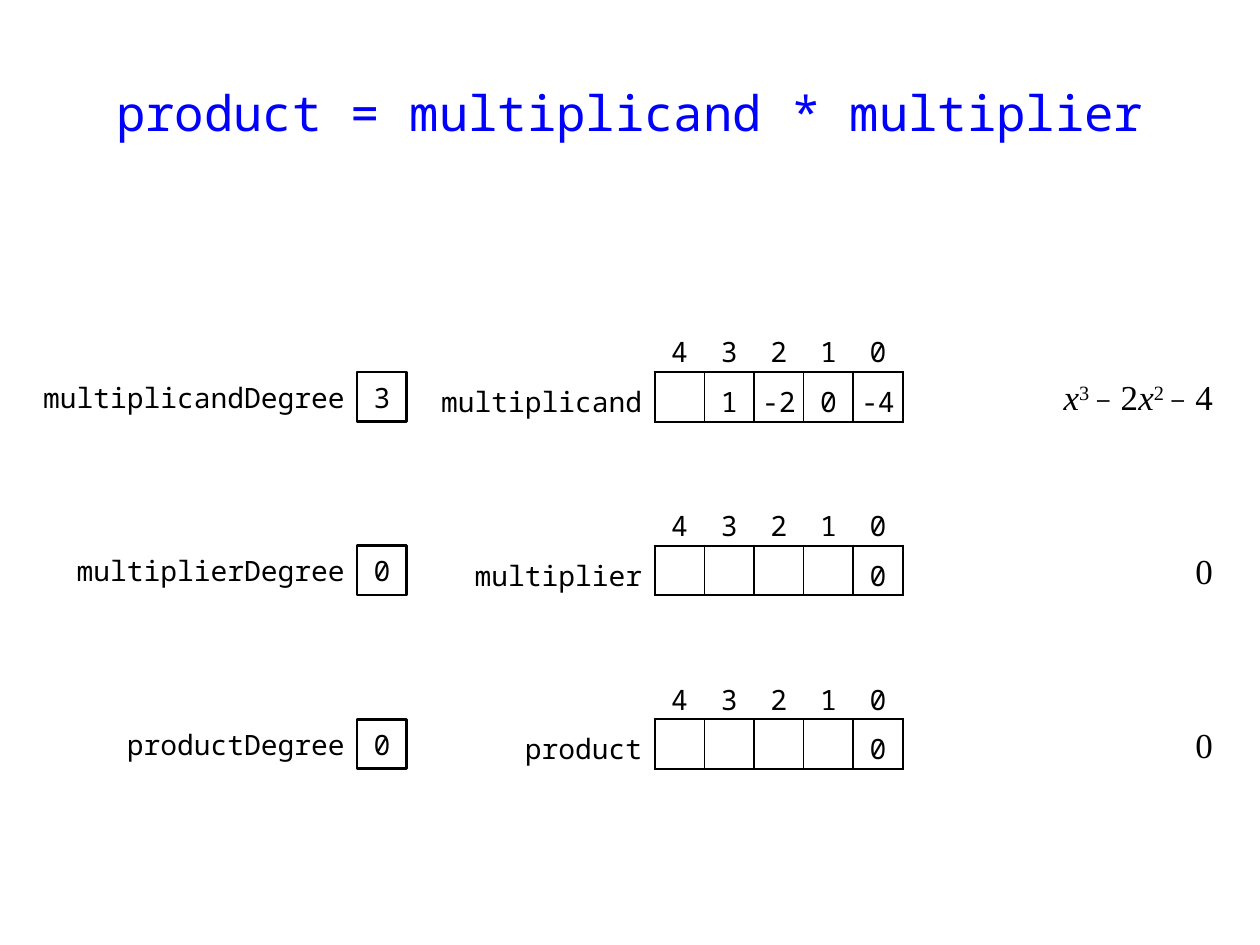
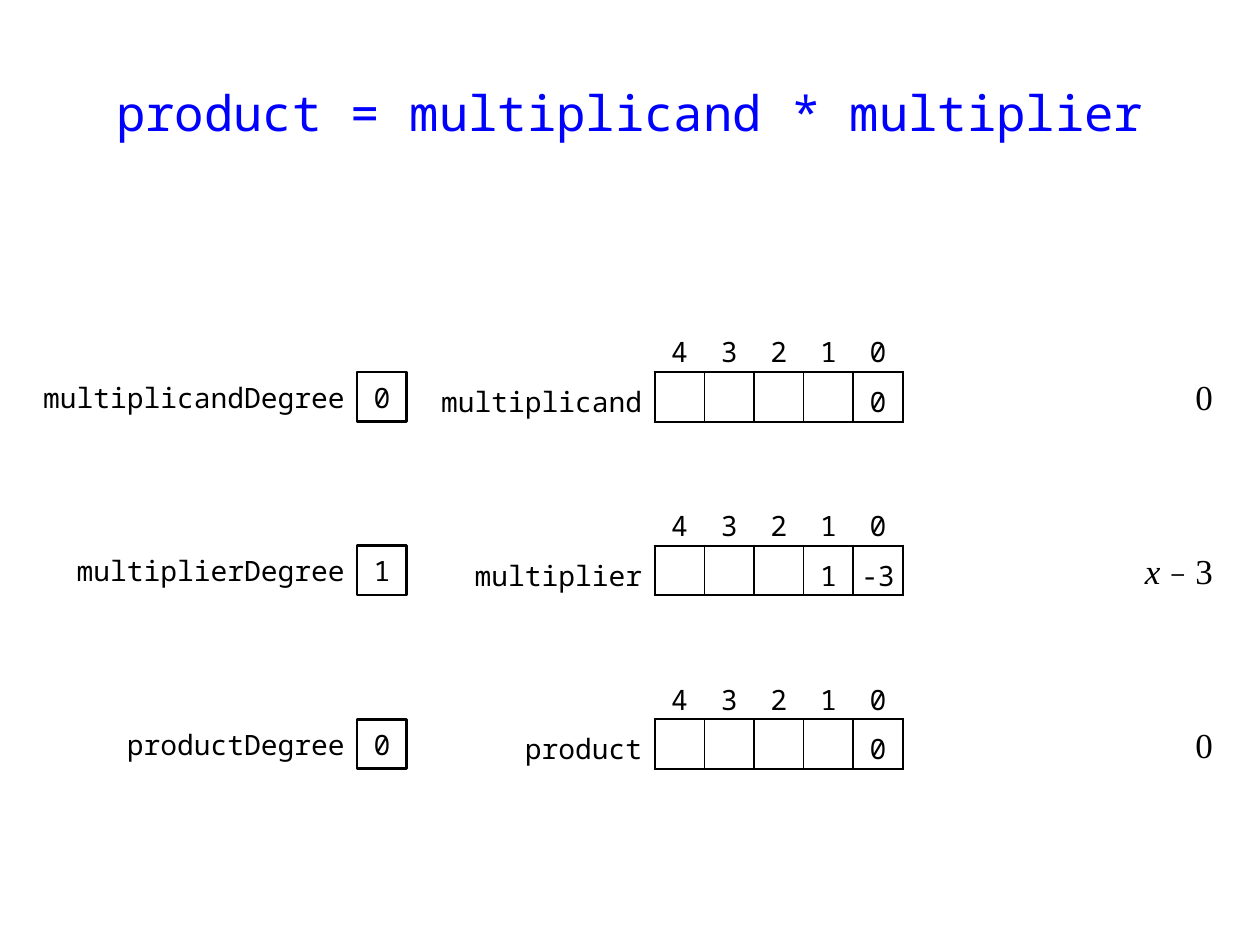
from dataclasses import dataclass
from typing import NamedTuple

from lxml.etree import SubElement
from pptx import Presentation
from pptx.dml.color import RGBColor
from pptx.enum.shapes import MSO_SHAPE
from pptx.enum.text import MSO_ANCHOR, PP_ALIGN
from pptx.oxml.ns import qn
from pptx.slide import Slide
from pptx.table import _Cell
from pptx.text.text import TextFrame
from pptx.util import Cm, Inches, Length, Pt

BLACK = RGBColor(0x00, 0x00, 0x00)
WHITE = RGBColor(0xFF, 0xFF, 0xFF)
BLUE = RGBColor(0x00, 0x00, 0xFF)
MONO, SERIF, SIGN = "Noto Sans Mono", "Times New Roman", "Cambria"
OUTER, INNER = 1.5, 1.0  # border widths in points
NO_STYLE = "{2D5ABB26-0587-4C30-8999-92F81FD0307C}"

# The grid has one-centimetre cells; its columns start a little off the left edge.
GRID_LEFT = 0.2
FIRST_ROW, ROW_STEP = 7.5, 3.5
DEGREE_COL, ARRAY_END_COL, FORMULA_END_COL = 7, 18, 24.5
EXPONENTS = (4, 3, 2, 1, 0)
SIDE_INSET = Inches(0.1)


class Part(NamedTuple):
    """A stretch of a formula in one format."""
    text: str
    italic: bool = False
    raised: bool = False
    font: str = SERIF
    size: float = 20


MINUS = Part("\u2212", font=SIGN, size=18)
X = Part("x", italic=True)


@dataclass(frozen=True)
class Variable:
    """A polynomial variable and the widths of its labels, in columns."""
    name: str
    degree_label_cols: float
    name_cols: float


@dataclass(frozen=True)
class Polynomial:
    """The state of one variable: coefficients by exponent, and the formula."""
    coefficients: dict[int, int]
    formula: tuple[Part, ...]
    formula_cols: float = 2.5

    @property
    def degree(self) -> int:
        """Return the highest exponent in use."""
        return max(self.coefficients)


VARIABLES = (
    Variable("multiplicand", 7, 4.5),
    Variable("multiplier", 6, 4),
    Variable("product", 5, 3),
)
ZERO = Polynomial({0: 0}, (Part("0"),))
WIDE_ZERO = Polynomial({0: 0}, (Part("0"),), 4)
CUBIC = Polynomial(
    {3: 1, 2: -2, 1: 0, 0: -4},
    (X, Part("3 ", raised=True), MINUS, Part(" 2"), X,
     Part("2 ", raised=True), MINUS, Part(" 4")),
    4,
)
LINEAR = Polynomial({1: 1, 0: -3}, (Part("x ", italic=True), MINUS, Part(" 3")))
STATES = ((CUBIC, ZERO, ZERO), (WIDE_ZERO, LINEAR, ZERO))


def column(number: float) -> Length:
    """Return the left edge of a grid column."""
    return Cm(GRID_LEFT + number)


def write(holder: _Cell | TextFrame, text: str | tuple[Part, ...], *,
          size: float = 16, font: str = MONO, color: RGBColor = BLACK,
          align: PP_ALIGN = PP_ALIGN.CENTER, line_spacing: float | None = None,
          insets: tuple[Length, Length, Length, Length] | None = None) -> None:
    """Write formatted text, vertically centred, into a frame or a table cell."""
    holder.vertical_anchor = MSO_ANCHOR.MIDDLE
    if insets:
        (holder.margin_left, holder.margin_top,
         holder.margin_right, holder.margin_bottom) = insets
    frame = holder.text_frame if isinstance(holder, _Cell) else holder
    paragraph = frame.paragraphs[0]
    paragraph.alignment = align
    if line_spacing:
        paragraph.line_spacing = line_spacing
    if not text:  # keeps an empty cell as low as a filled one
        SubElement(paragraph._p, qn("a:endParaRPr"), sz=str(int(size * 100)))
    parts = (Part(text, font=font, size=size),) if isinstance(text, str) else text
    for part in filter(lambda item: item.text, parts):
        run = paragraph.add_run()
        run.text = part.text
        run.font.size, run.font.name = Pt(part.size), part.font
        run.font.italic = part.italic
        run.font.color.rgb = color
        if part.raised:
            run._r.get_or_add_rPr().set("baseline", "30000")


def add_label(slide: Slide, text: str | tuple[Part, ...], left: Length, top: Length,
              width: Length, height: Length, **text_format) -> None:
    """Add a wrapping text box."""
    frame = slide.shapes.add_textbox(left, top, width, height).text_frame
    frame.word_wrap = True
    write(frame, text, **text_format)


def set_borders(cell: _Cell, **widths: float) -> None:
    """Draw the given cell sides (L, R, T, B, in this order) in black."""
    properties = cell._tc.get_or_add_tcPr()
    for side, width in widths.items():
        line = SubElement(properties, qn(f"a:ln{side}"), w=str(Pt(width)))
        fill = SubElement(line, qn("a:solidFill"))
        SubElement(fill, qn("a:srgbClr"), val=str(BLACK))


def add_array(slide: Slide, variable: Variable, polynomial: Polynomial,
              row: float) -> None:
    """Add the named coefficient array with its exponents above it."""
    total_cols = variable.name_cols + len(EXPONENTS)
    frame = slide.shapes.add_table(
        2, 1 + len(EXPONENTS), column(ARRAY_END_COL - total_cols), Cm(row - 1),
        Cm(total_cols), Cm(2))
    table = frame.table
    table.first_row = table.horz_banding = False
    table._tbl.tblPr.find(qn("a:tableStyleId")).text = NO_STYLE
    for index, grid_column in enumerate(table.columns):
        grid_column.width = Cm(1 if index else variable.name_cols)

    no_insets = (0, 0, 0, 0)
    write(table.cell(0, 0), "", insets=no_insets)
    name_cell = table.cell(1, 0)
    write(name_cell, variable.name, align=PP_ALIGN.RIGHT, line_spacing=1.25,
          insets=(Inches(0.04), 0, SIDE_INSET, 0))
    set_borders(name_cell, R=OUTER)
    for index, exponent in enumerate(EXPONENTS, start=1):
        slot = table.cell(1, index)
        write(table.cell(0, index), str(exponent), line_spacing=1.25,
              insets=no_insets)
        write(slot, str(polynomial.coefficients.get(exponent, "")),
              line_spacing=1.25, insets=no_insets)
        set_borders(slot, L=OUTER if index == 1 else INNER,
                    R=OUTER if index == len(EXPONENTS) else INNER,
                    T=OUTER, B=OUTER)
    for cell in table.iter_cells():
        cell.fill.background()


def add_degree(slide: Slide, variable: Variable, degree: int, row: float) -> None:
    """Add the degree's label and its boxed value."""
    width = variable.degree_label_cols
    add_label(slide, f"{variable.name}Degree", column(DEGREE_COL - width), Cm(row),
              Cm(width), Cm(1), align=PP_ALIGN.RIGHT,
              insets=(SIDE_INSET, 0, SIDE_INSET, 0))
    box = slide.shapes.add_shape(MSO_SHAPE.RECTANGLE, column(DEGREE_COL), Cm(row),
                                 Cm(1), Cm(1))
    box.shadow.inherit = False
    box.fill.solid()
    box.fill.fore_color.rgb = WHITE
    box.line.color.rgb = BLACK
    box.line.width = Pt(OUTER)
    write(box.text_frame, str(degree))


def add_formula(slide: Slide, polynomial: Polynomial, row: float) -> None:
    """Add the polynomial in mathematical notation, flush right."""
    width = polynomial.formula_cols
    add_label(slide, polynomial.formula, column(FORMULA_END_COL - width), Cm(row),
              Cm(width), Cm(1), align=PP_ALIGN.RIGHT,
              insets=(SIDE_INSET, 0, SIDE_INSET, 0))


def main() -> None:
    """Build one slide for each state of the three variables."""
    deck = Presentation()
    deck.slide_width, deck.slide_height = Inches(10), Inches(7.5)
    for state in STATES:
        slide = deck.slides.add_slide(deck.slide_layouts[6])
        add_label(slide, "product = multiplicand * multiplier", column(1), Cm(1),
                  Cm(23), Cm(2.5), size=28, color=BLUE)
        for index, (variable, polynomial) in enumerate(zip(VARIABLES, state)):
            row = FIRST_ROW + index * ROW_STEP
            add_degree(slide, variable, polynomial.degree, row)
            add_array(slide, variable, polynomial, row)
            add_formula(slide, polynomial, row)
    deck.save("out.pptx")


main()
